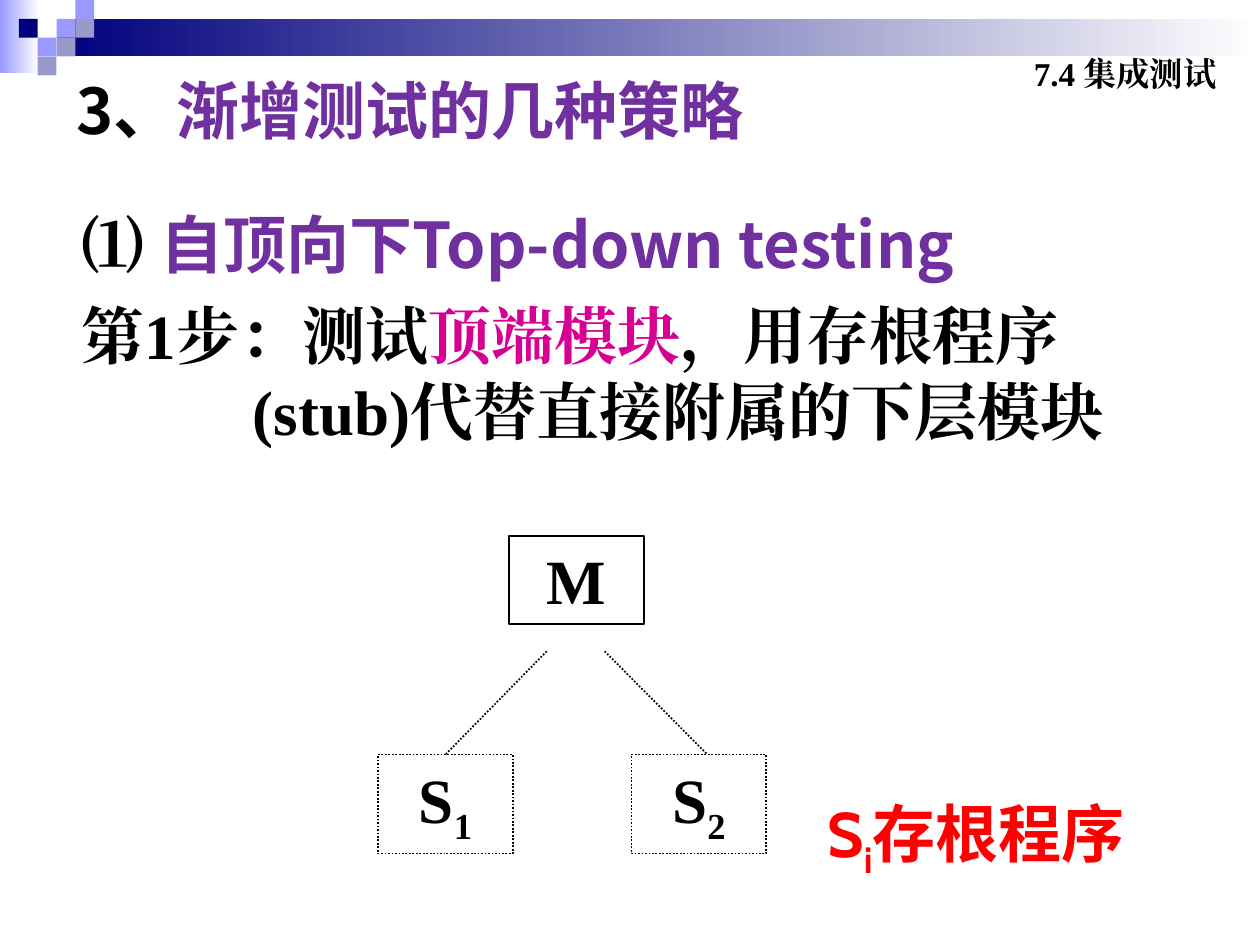
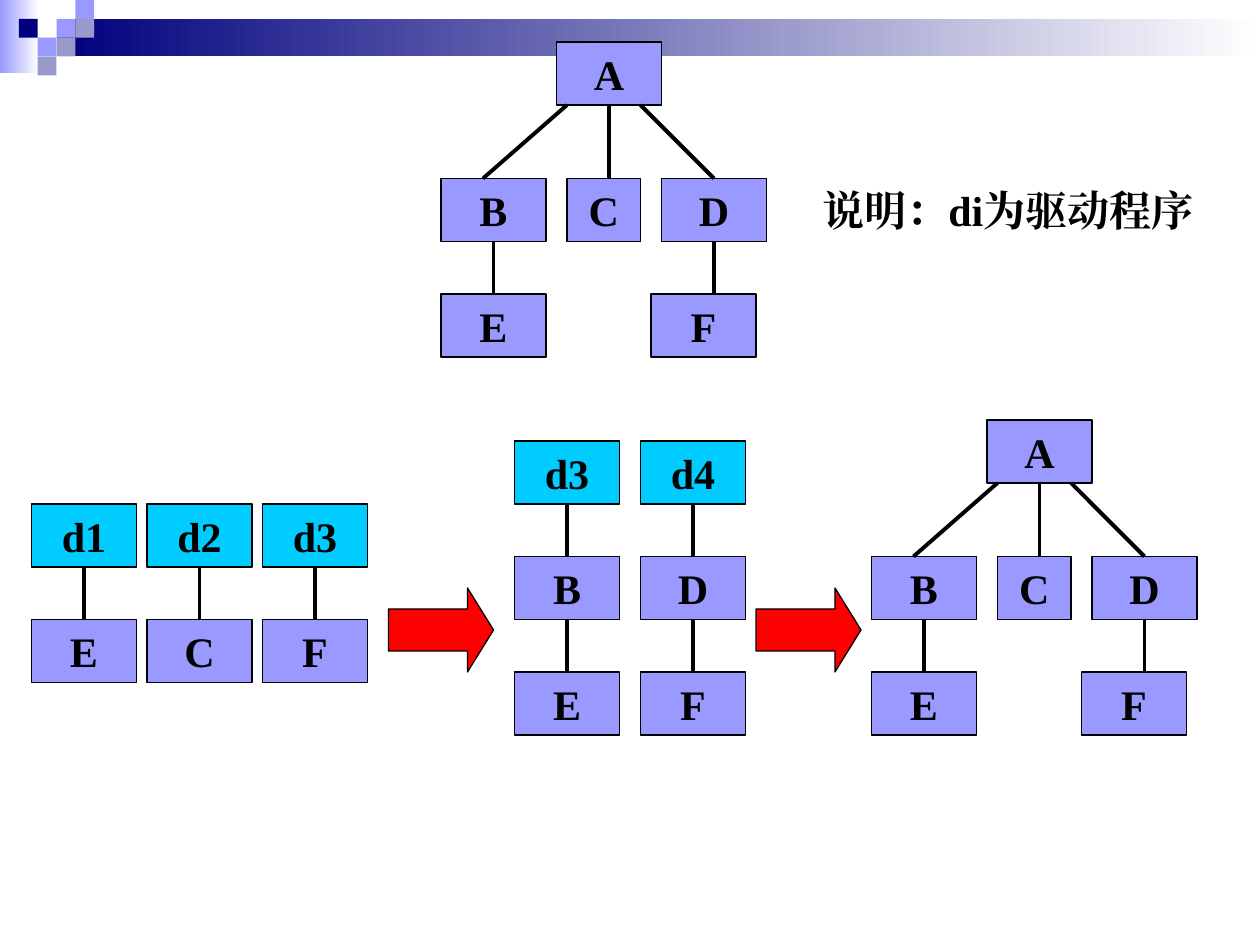
from lxml import etree
from pptx import Presentation
from pptx.dml.color import RGBColor
from pptx.enum.dml import MSO_LINE
from pptx.enum.shapes import MSO_CONNECTOR, MSO_SHAPE
from pptx.enum.text import MSO_ANCHOR, MSO_AUTO_SIZE, PP_ALIGN
from pptx.oxml.ns import qn
from pptx.util import Cm, Pt

RECT, ARROW = MSO_SHAPE.RECTANGLE, MSO_SHAPE.RIGHT_ARROW
STRAIGHT = MSO_CONNECTOR.STRAIGHT
DOTTED = MSO_LINE.ROUND_DOT
TOP, MIDDLE = MSO_ANCHOR.TOP, MSO_ANCHOR.MIDDLE
LEFT, CENTER, RIGHT = PP_ALIGN.LEFT, PP_ALIGN.CENTER, PP_ALIGN.RIGHT
GROW, FIXED = MSO_AUTO_SIZE.SHAPE_TO_FIT_TEXT, MSO_AUTO_SIZE.NONE

COLORS = {
    "ink": "000000", "white": "FFFFFF", "navy": "00007D",
    "periwinkle": "9999FF", "grey": "9999CC", "purple": "7030A0",
    "magenta": "D60093", "red": "FF0000", "cyan": "00CCFF",
}
SERIF, SANS, HEADING, LABEL = (
    "Times New Roman", "Noto Sans CJK JP", "Noto Sans CJK SC", "Cabin")
SQUARE = 0.38      # side of a corner square, cm
GRID = 2.54 / 12   # step of the module diagrams, cm
MODULE_W, MODULE_H, LEVEL = 10, 6, 11   # in grid steps


def color(name):
    return RGBColor.from_string(COLORS[name])


def on_grid(*steps):
    return [step * GRID for step in steps]


class SlideBuilder:
    """Holds the deck style and the slide being drawn."""

    def __init__(self):
        self.deck = Presentation()
        self.deck.slide_width, self.deck.slide_height = Cm(25.4), Cm(19.05)
        self.page = None

    def start_page(self):
        self.page = self.deck.slides.add_slide(self.deck.slide_layouts[6])
        # Fading bands
        self.shape((0, 0, 0.79, 1.47), fade="periwinkle")
        self.shape((1.14, 0.38, 24.26, 0.76), fade="navy")
        # Corner squares
        for column, row, fill in [
                (3, 1, "periwinkle"), (4, 0, "periwinkle"), (4, 1, "grey"),
                (2, 2, "periwinkle"), (1, 1, "navy"), (3, 2, "grey"),
                (2, 3, "grey")]:
            self.shape((column * SQUARE, row * SQUARE, SQUARE, SQUARE), fill)

    def shape(self, place, fill=None, fade=None, line=None, dash=None,
              kind=RECT):
        box = self.page.shapes.add_shape(kind, *map(Cm, place))
        box.shadow.inherit = False
        if fade:
            box.fill.gradient()
            box.fill.gradient_angle = 0
            for stop, name in zip(box.fill.gradient_stops, (fade, "white")):
                stop.color.rgb = color(name)
        elif fill:
            box.fill.solid()
            box.fill.fore_color.rgb = color(fill)
        else:
            box.fill.background()
        if line:
            self.stroke(box.line, line, dash)
        else:
            box.line.fill.background()
        return box

    def stroke(self, line, width, dash=None):
        line.color.rgb = color("ink")
        line.width = Pt(width)
        if dash:
            line.dash_style = dash

    def connect(self, start, end, width, dash=None):
        link = self.page.shapes.add_connector(
            STRAIGHT, *map(Cm, (*start, *end)))
        self.stroke(link.line, width, dash)
        etree.SubElement(link._element.spPr, qn("a:effectLst"))

    def text(self, place, paras, **style):
        box = self.page.shapes.add_textbox(*map(Cm, place))
        self.fill_text(box, paras, **style)

    def fill_text(self, box, paras, size=36, align=LEFT, anchor=TOP, before=0,
                  hanging=0, wrap=True, fit=FIXED):
        """Each para is a list of (text, font, color, baseline percent)."""
        frame = box.text_frame
        frame.word_wrap, frame.auto_size = wrap, fit
        frame.vertical_anchor = anchor
        for index, spans in enumerate(paras):
            para = frame.add_paragraph() if index else frame.paragraphs[0]
            para.alignment = align
            para.space_before = Pt(before)
            if hanging:
                properties = para._p.get_or_add_pPr()
                properties.set("marL", str(Cm(hanging)))
                properties.set("indent", str(-Cm(hanging)))
            for words, font, ink, baseline in spans:
                span = para.add_run()
                span.text = words
                span.font.name, span.font.size = font, Pt(size)
                span.font.bold = True
                span.font.color.rgb = color(ink)
                properties = span._r.get_or_add_rPr()
                east_asian = etree.SubElement(properties, qn("a:ea"))
                east_asian.set("typeface", font)
                if baseline:
                    properties.set("baseline", str(baseline * 1000))

    def module(self, name, x, y, width=MODULE_W, fill="periwinkle"):
        box = self.shape(on_grid(x, y, width, MODULE_H), fill, line=0.75)
        self.fill_text(box, [[(name, SERIF, "ink", 0)]], size=24,
                       align=CENTER, anchor=MIDDLE, wrap=False)

    def module_link(self, start, end):
        self.connect(on_grid(*start), on_grid(*end), 2.25)

    def module_tree(self, left, top):
        for name, x, y, width in [
                ("A", 11, 0, 10), ("B", 0, 13, 10), ("C", 12, 13, 7),
                ("D", 21, 13, 10), ("E", 0, 24, 10), ("F", 20, 24, 10)]:
            self.module(name, left + x, top + y, width)
        for x1, y1, x2, y2 in [
                (16, 6, 16, 13), (12, 6, 4, 13), (19, 6, 26, 13),
                (26, 19, 26, 24), (5, 19, 5, 24)]:
            self.module_link((left + x1, top + y1), (left + x2, top + y2))

    def driver_chain(self, names, left, top):
        middle = left + MODULE_W / 2
        for level, name in enumerate(names):
            y = top + level * LEVEL
            self.module(name, left, y, fill="periwinkle" if level else "cyan")
            if level:
                self.module_link((middle, y - LEVEL + MODULE_H), (middle, y))

    def step_arrow(self, left, top):
        arrow = self.shape(on_grid(left, top, 10, 8), "red", line=0.75,
                           kind=ARROW)
        arrow.adjustments[0], arrow.adjustments[1] = 0.5, 0.31


def top_down_page(builder):
    builder.start_page()
    # Explanation of the first step
    builder.text((1.4, 4.01, 22.2, 7.77), [
        [("⑴ ", SERIF, "ink", 0),
         ("自顶向下Top-down testing", SANS, "purple", 0)],
        [("第1步：测试", SERIF, "ink", 0),
         ("顶端模块", SERIF, "magenta", 0),
         ("，用存根程序(stub)代替直接附属的下层模块", SERIF, "ink", 0)],
    ], before=9, hanging=3.45)
    # Section label and title
    builder.text((19.05, 0.84, 5.72, 1.27),
                 [[("7.4 集成测试", SERIF, "ink", 0)]],
                 size=19, align=RIGHT, anchor=MIDDLE)
    builder.text((1.3, 1.32, 18.21, 1.78),
                 [[("3、", HEADING, "ink", 0),
                   ("渐增测试的几种策略", SANS, "purple", 0)]],
                 before=22.5, fit=GROW)
    # Top module with its two stubs
    for name, index, place, dash in [
            ("M", "", (10.26, 10.8, 2.72, 1.78), None),
            ("S", "1", (7.62, 15.21, 2.72, 2), DOTTED),
            ("S", "2", (12.73, 15.21, 2.72, 2), DOTTED)]:
        spans = [(name, SERIF, "ink", 0)]
        if index:
            spans.append((index, SERIF, "ink", -25))
        box = builder.shape(place, line=1, dash=dash)
        builder.fill_text(box, [spans], align=CENTER, before=22.5, fit=GROW)
    builder.connect((11.02, 13.13), (8.99, 15.2), 1, DOTTED)
    builder.connect((12.19, 13.13), (14.25, 15.2), 1, DOTTED)
    # Legend
    builder.text((16.43, 15.9, 7.67, 2),
                 [[("S", LABEL, "red", 0), ("i", LABEL, "red", -25),
                   ("存根程序", LABEL, "red", 0)]], fit=GROW)


def bottom_up_page(builder):
    builder.start_page()
    # Full module tree, above and as the end result
    builder.module_tree(42, 4)
    builder.module_tree(83, 40)
    # Modules under test with their drivers
    for column, names in enumerate([("d1", "E"), ("d2", "C"), ("d3", "F")]):
        builder.driver_chain(names, 3 + 11 * column, 48)
    for column, names in enumerate([("d3", "B", "E"), ("d4", "D", "F")]):
        builder.driver_chain(names, 49 + 12 * column, 42)
    # Arrows between the steps
    for left in (37, 72):
        builder.step_arrow(left, 56)
    # Legend
    builder.text(on_grid(78, 14, 36, 12),
                 [[("说明：di为驱动程序", SERIF, "ink", 0)]],
                 size=24, align=CENTER, anchor=MIDDLE, wrap=False)


def main():
    builder = SlideBuilder()
    top_down_page(builder)
    bottom_up_page(builder)
    builder.deck.save("out.pptx")


if __name__ == "__main__":
    main()
